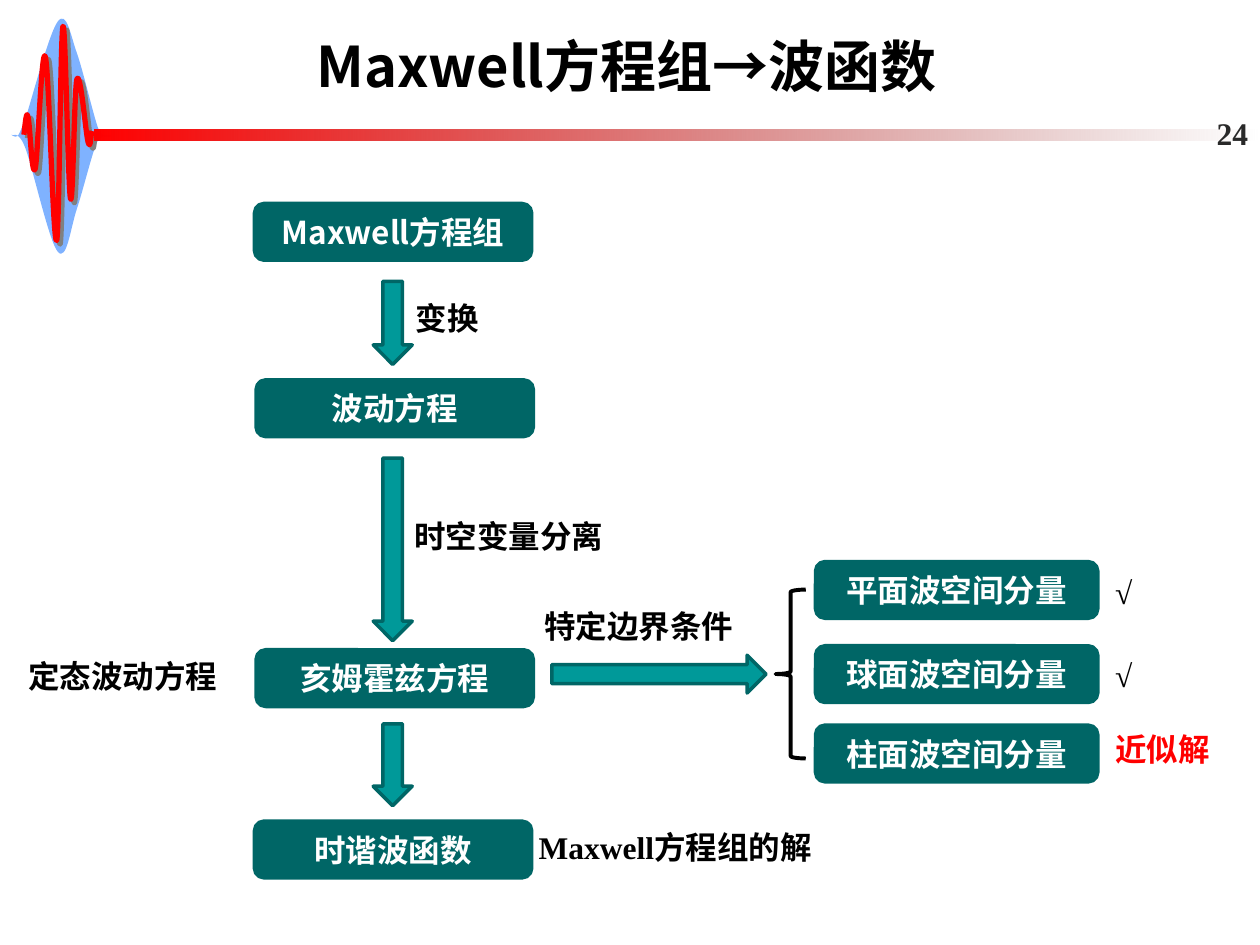
from typing import NamedTuple

from lxml.etree import SubElement
from pptx import Presentation
from pptx.dml.color import RGBColor
from pptx.enum.shapes import MSO_SHAPE
from pptx.enum.text import MSO_ANCHOR, MSO_AUTO_SIZE, PP_ALIGN
from pptx.oxml.ns import qn
from pptx.util import Inches, Pt

UNIT = 0.1
COLUMNS, ROWS = 100, 75
SANS, SERIF = "Noto Sans CJK SC", "Times New Roman"
COLORS = {
    "black": "000000", "white": "FFFFFF", "red": "FF0000", "maroon": "760000",
    "number": "292929", "node": "006666", "arrow": "009999",
    "envelope": "0066FF", "shadow": "808080",
}


class Area(NamedTuple):
    column: float
    row: float
    width: float
    height: float


class Node(NamedTuple):
    text: str
    column: float
    row: float
    width: float = 22


class Label(NamedTuple):
    text: str
    column: float
    row: float
    width: float
    color: str = "black"
    wrap: bool = False


class Arrow(NamedTuple):
    area: Area
    rotation: float = 0


NODES = [
    Node("Maxwell方程组", 20.2, 16.15),
    Node("波动方程", 20.33, 30.15),
    Node("亥姆霍兹方程", 20.33, 51.57),
    Node("时谐波函数", 20.2, 65.17),
    Node("平面波空间分量", 64.73, 44.57, 22.4),
    Node("球面波空间分量", 64.73, 51.25, 22.4),
    Node("柱面波空间分量", 64.73, 57.55, 22.4),
]
ARROWS = [
    Arrow(Area(29.62, 22.33, 3.1, 6.6)),
    Arrow(Area(29.62, 36.35, 3.1, 14.5)),
    Arrow(Area(29.62, 57.45, 3.1, 6.5)),
    Arrow(Area(50.8, 45, 3, 17), 270),
]
LABELS = [
    Label("变换", 32, 23.25, 7.1),
    Label("时空变量分离", 31.9, 40.55, 17.3),
    Label("特定边界条件", 42.2, 47.7, 17.3),
    Label("定态波动方程", 1.27, 51.65, 17.3),
    Label("Maxwell方程组的解", 41.77, 65.2, 28, wrap=True),
    Label("√", 87.53, 45, 3.4),
    Label("√", 87.53, 51.6, 3.4),
    Label("近似解", 87.55, 57.45, 9.6, "red"),
]
ENVELOPE = [
    (0.9, 10.7),
    (0.8, 10.6), (1.2, 11), (1.4, 10.8), (1.5, 10.6), (1.4, 11), (2, 9.5),
    (2.5, 8), (3.9, 2.6), (4.6, 1.7), (5.3, 0.8), (5.6, 2.8), (6.1, 4.2),
    (6.6, 5.6), (7.4, 9.1), (7.8, 10.2), (8.3, 11.3), (8.8, 10.6), (8.8, 10.8),
    (8.8, 11), (8.2, 10.3), (7.7, 11.3), (7.3, 12.2), (6.6, 15.1), (6.1, 16.6),
    (5.6, 18.1), (5.3, 20.8), (4.6, 20), (3.9, 19.2), (2.6, 13.3), (2, 11.7),
    (1.4, 10.2), (1, 10.9), (0.9, 10.7),
]
WAVE = [
    (1.9, 10.7),
    (2, 9.8), (2.1, 8.8), (2.2, 9.2), (2.4, 9.7), (2.5, 14.2), (2.8, 13.4),
    (3, 12.6), (3.3, 3.5), (3.6, 4.5), (3.9, 5.4), (4.2, 19.5), (4.5, 19.1),
    (4.7, 18.7), (4.8, 2.6), (5, 2.1), (5.2, 1.5), (5.4, 15.1), (5.6, 15.8),
    (5.8, 16.5), (5.9, 7), (6.1, 6.3), (6.4, 5.5), (6.8, 10.6), (7, 11.3),
    (7.2, 12), (7.2, 10.6), (7.3, 10.4),
]


def units(value: float) -> int:
    return Inches(value * UNIT)


def color(name: str) -> RGBColor:
    return RGBColor.from_string(COLORS[name])


def set_alpha(color_element, percent: int) -> None:
    SubElement(color_element, qn("a:alpha"), val=str(percent * 1000))


def write(shape, text: str, size: int, font: str, ink: str, align=PP_ALIGN.LEFT) -> None:
    para = shape.text_frame.paragraphs[0]
    para.text = text
    para.alignment = align
    para.font.size = Pt(size)
    para.font.bold = True
    para.font.name = font
    para.font.color.rgb = color(ink)
    SubElement(para.font._element, qn("a:ea"), typeface=SANS)


def add_text(page, area: Area):
    box = page.shapes.add_textbox(*map(units, area))
    box.text_frame.word_wrap = True
    box.text_frame.vertical_anchor = MSO_ANCHOR.MIDDLE
    return box


def add_preset(page, kind, area: Area, fill: str | None, line: str | None, weight: float = 2):
    shape = page.shapes.add_shape(kind, *map(units, area))
    shape.shadow.inherit = False
    if fill:
        shape.fill.solid()
        shape.fill.fore_color.rgb = color(fill)
    else:
        shape.fill.background()
    if line:
        shape.line.color.rgb = color(line)
        shape.line.width = Pt(weight)
    else:
        shape.line.fill.background()
    return shape


def add_curve(page, knots: list, close: bool):
    builder = page.shapes.build_freeform(*map(units, knots[0]))
    builder.add_line_segments([tuple(map(units, knot)) for knot in knots[1:]], close=close)
    shape = builder.convert_to_shape()
    shape.shadow.inherit = False
    segments = list(shape._element.spPr.iter(qn("a:lnTo")))
    for first in range(0, len(segments), 3):
        outline = segments[first].getparent()
        curve = SubElement(outline, qn("a:cubicBezTo"))
        segments[first].addprevious(curve)
        for segment in segments[first:first + 3]:
            curve.append(segment[0])
            outline.remove(segment)
    return shape


def add_emblem(page) -> None:
    envelope = add_curve(page, ENVELOPE, True)
    envelope.fill.solid()
    envelope.fill.fore_color.rgb = color("envelope")
    set_alpha(next(envelope._element.spPr.iter(qn("a:srgbClr"))), 50)
    envelope.line.fill.background()

    wave = add_curve(page, WAVE, False)
    wave.fill.background()
    wave.line.color.rgb = color("red")
    wave.line.width = Pt(3)
    effects = wave._element.spPr.find(qn("a:effectLst"))
    shadow = SubElement(effects, qn("a:outerShdw"), dist=str(Pt(2.8)), dir="2700000")
    SubElement(shadow, qn("a:srgbClr"), val=COLORS["shadow"])


def add_rule(page) -> None:
    rule = add_preset(page, MSO_SHAPE.RECTANGLE, Area(7.5, 10.3, 92.5, 0.85), None, None)
    rule.fill.gradient()
    rule.fill.gradient_angle = 0
    for stop, name in zip(rule.fill.gradient_stops, ("red", "maroon")):
        stop.color.rgb = color(name)
    set_alpha(list(rule._element.spPr.iter(qn("a:srgbClr")))[-1], 0)


def add_node(page, node: Node) -> None:
    area = Area(node.column, node.row, node.width, 4.5)
    shape = add_preset(page, MSO_SHAPE.ROUNDED_RECTANGLE, area, "node", "node")
    shape.text_frame.vertical_anchor = MSO_ANCHOR.MIDDLE
    write(shape, node.text, 18, SANS, "white", PP_ALIGN.CENTER)


def add_label(page, label: Label) -> None:
    box = add_text(page, Area(label.column, label.row, label.width, 4))
    box.text_frame.vertical_anchor = MSO_ANCHOR.TOP
    box.text_frame.word_wrap = label.wrap
    box.text_frame.auto_size = MSO_AUTO_SIZE.SHAPE_TO_FIT_TEXT
    write(box, label.text, 18, SERIF, label.color)


def main() -> None:
    deck = Presentation()
    deck.slide_width, deck.slide_height = units(COLUMNS), units(ROWS)
    page = deck.slides.add_slide(deck.slide_layouts[6])
    add_emblem(page)
    add_rule(page)
    title = add_text(page, Area(10.6, 1.25, 78.3, 7.9))
    write(title, "Maxwell方程组→波函数", 32, SANS, "black", PP_ALIGN.CENTER)
    number = add_text(page, Area(91.35, 9.35, 8.7, 2.4))
    write(number, "24", 18, SERIF, "number", PP_ALIGN.RIGHT)
    for node in NODES:
        add_node(page, node)
    add_preset(page, MSO_SHAPE.LEFT_BRACE, Area(61.55, 46.8, 2.4, 13.4), None, "black", 2.25)
    for arrow in ARROWS:
        shape = add_preset(page, MSO_SHAPE.DOWN_ARROW, arrow.area, "arrow", "node")
        shape.rotation = arrow.rotation
    for label in LABELS:
        add_label(page, label)
    deck.save("out.pptx")


if __name__ == "__main__":
    main()
